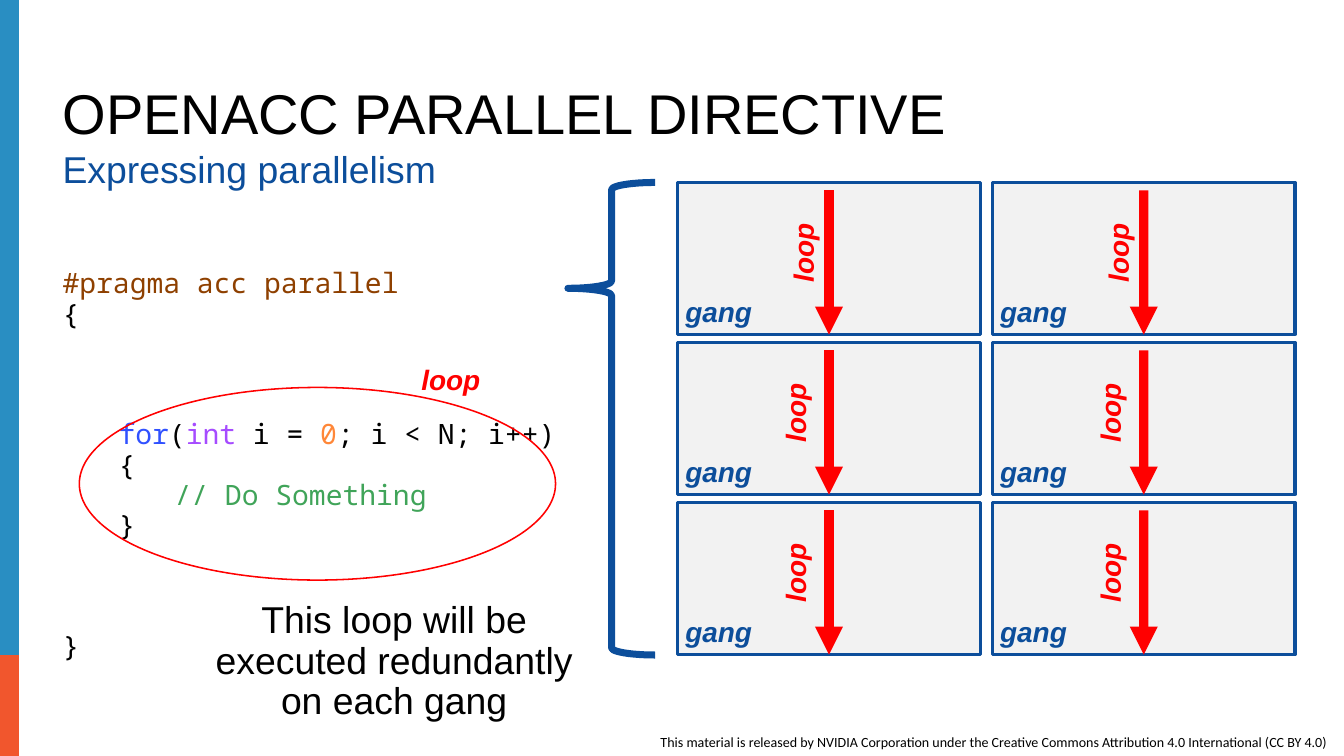
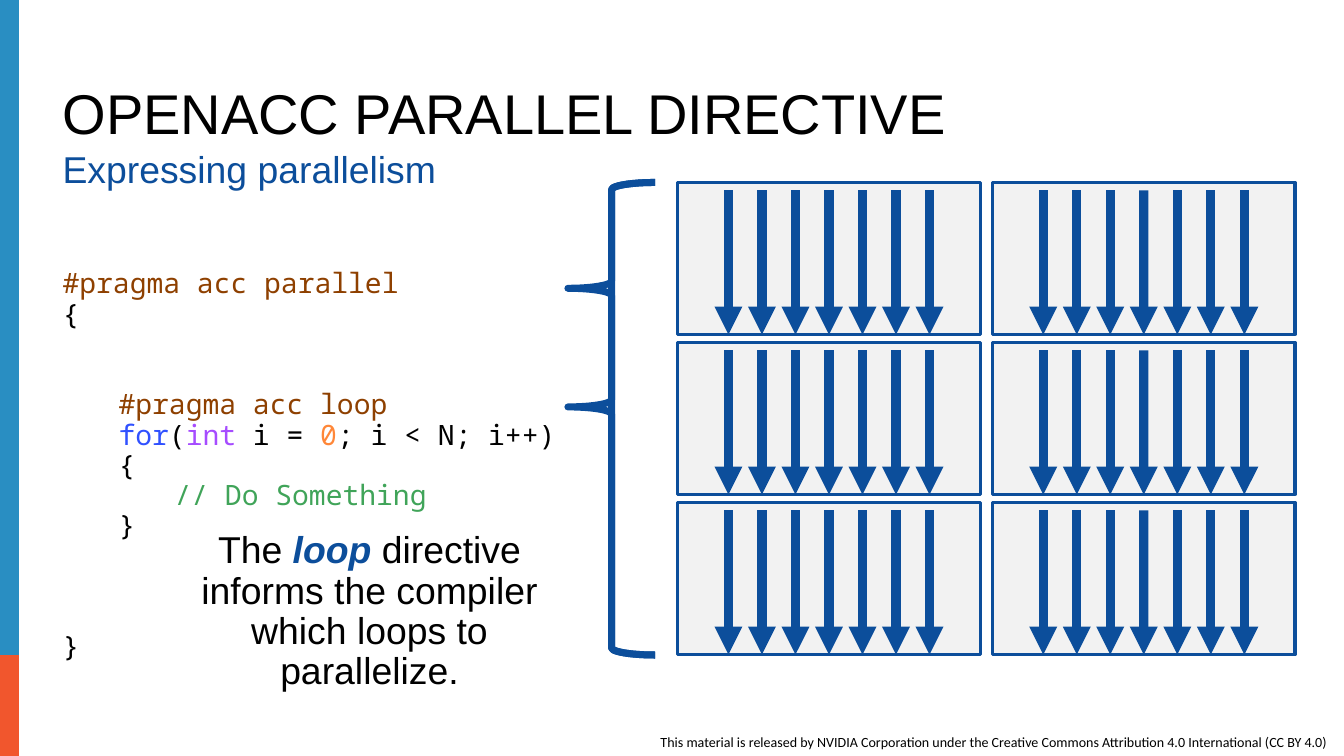
from itertools import product

from lxml.etree import SubElement
from pptx import Presentation
from pptx.dml.color import RGBColor
from pptx.enum.shapes import MSO_CONNECTOR, MSO_SHAPE
from pptx.enum.text import MSO_ANCHOR, PP_ALIGN
from pptx.oxml.ns import qn
from pptx.util import Cm, Pt

HUES = {
    "black": "000000", "blue": "0C4E9B", "red": "FF0000", "grey": "F2F2F2",
    "sky": "298EC2", "rust": "F1562D", "brown": "8E4000", "key": "3051FF",
    "type": "A64CFF", "digit": "FF8738", "note": "40A459",
}

# Content
TITLE = "OPENACC PARALLEL DIRECTIVE"
TOPIC = "Expressing parallelism"
FOOTER = ("This material is released by NVIDIA Corporation under the Creative "
          "Commons Attribution 4.0 International (CC BY 4.0)")

# Code lines: indent level, empty lines above, runs of (text, colour)
HEAD = [
    (0, 0, [("#pragma acc parallel", "brown")]),
    (0, 0, [("{", "black")]),
]
LOOP = [("for", "key"), ("(", "black"), ("int ", "type"), ("i = ", "black"),
        ("0", "digit"), ("; i < N; i++)", "black")]
BODY = [
    (1, 0, [("{", "black")]),
    (2, 0, [("// Do Something", "note")]),
    (1, 0, [("}", "black")]),
    (0, 3, [("}", "black")]),
]
PLAIN = HEAD + [(1, 3, LOOP)] + BODY
SHARED = HEAD + [(1, 2, [("#pragma acc loop", "brown")]), (1, 0, LOOP)] + BODY

SLIDES = [
    {"code": PLAIN, "tips": [0.224], "arrows": 1, "hue": "red", "tags": True,
     "box": (4.09, 13.51, 9.7, 3.02),
     "note": [("This loop will be executed redundantly on each gang", "black")]},
    {"code": SHARED, "tips": [0.224, 0.475], "arrows": 7, "hue": "blue",
     "tags": False, "box": (3.73, 11.91, 9.3, 3.96),
     "note": [("The ", "black"), ("loop", "blue"),
              (" directive informs the compiler which loops to parallelize.",
               "black")]},
]

# Grid of gangs, in cm
LEFT, TOP, WIDE, HIGH = 15.37, 4.14, 6.86, 3.45
STEP_X, STEP_Y = 7.14, 3.63
ROWS, COLS = 3, 2
ARROW_GAP, ARROW_DROP = 0.76, 0.18
LOOP_X = [1.96, 1.78, 1.78]  # offset of the loop tag in each row
LINE = 19.4  # height of a code line, in points
INDENT = 1.27


def rgb(hue):
    return RGBColor.from_string(HUES[hue])


def add_shape(slide, kind, box, fill=None, line=None, width=1):
    shape = slide.shapes.add_shape(kind, *map(Cm, box))
    shape.shadow.inherit = False
    if fill:
        shape.fill.solid()
        shape.fill.fore_color.rgb = rgb(fill)
    else:
        shape.fill.background()
    if line:
        shape.line.color.rgb = rgb(line)
        shape.line.width = Pt(width)
    else:
        shape.line.fill.background()
    return shape


def add_box(slide, box, anchor=MSO_ANCHOR.MIDDLE, wrap=True):
    shape = slide.shapes.add_textbox(*map(Cm, box))
    shape.text_frame.word_wrap = wrap
    shape.text_frame.vertical_anchor = anchor
    return shape


def write(para, runs, size, face="Arial", space=0.9):
    """Fill a paragraph; runs in another colour than the first get their own."""
    para.line_spacing = space
    para.font.name, para.font.size = face, Pt(size)
    first = runs[0][1]
    para.font.color.rgb = rgb(first)
    for text, hue in runs:
        run = para.add_run()
        run.text = text
        if hue != first:
            run.font.color.rgb = rgb(hue)
    return para


def add_text(slide, box, text, size, hue="black", anchor=MSO_ANCHOR.MIDDLE,
             face="Arial", space=0.9):
    frame = add_box(slide, box, anchor).text_frame
    write(frame.paragraphs[0], [(text, hue)], size, face, space)


def add_tag(slide, left, top, wide, text, hue, turn=0):
    shape = add_box(slide, (left, top, wide, 0.94), wrap=False)
    shape.rotation = turn
    para = write(shape.text_frame.paragraphs[0], [(text, hue)], 18)
    para.alignment = PP_ALIGN.CENTER
    para.font.bold = para.font.italic = True


def add_arrow(slide, x, top, end, hue):
    arrow = slide.shapes.add_connector(
        MSO_CONNECTOR.STRAIGHT, Cm(x), Cm(top), Cm(x), Cm(end))
    arrow.line.color.rgb = rgb(hue)
    arrow.line.width = Pt(6)
    SubElement(arrow.line._get_or_add_ln(), qn("a:tailEnd"), type="triangle")
    SubElement(arrow._element.spPr, qn("a:effectLst"))
    return arrow


def add_frame(slide):
    """Side band, footer, title and topic."""
    add_text(slide, (14.73, 16.51, 17.17, 0.64), FOOTER, 9,
             anchor=MSO_ANCHOR.TOP, face="Calibri", space=1.0)
    add_shape(slide, MSO_SHAPE.RECTANGLE, (-0.08, 12.88, 0.51, 4.27), "rust")
    add_shape(slide, MSO_SHAPE.RECTANGLE, (-0.08, 0, 0.51, 14.86), "sky")
    add_text(slide, (1.17, 1.8, 27.71, 1.65), TITLE, 36,
             anchor=MSO_ANCHOR.BOTTOM)
    add_text(slide, (1.17, 3.3, 27.71, 1.45), TOPIC, 24, "blue",
             MSO_ANCHOR.TOP)


def add_code(slide, lines):
    frame = add_box(slide, (1.17, 5.94, 12.04, 9.27)).text_frame
    for i, (level, gap, runs) in enumerate(lines):
        para = frame.add_paragraph() if i else frame.paragraphs[0]
        if level:
            para._p.get_or_add_pPr().set("marL", str(Cm(INDENT * level)))
        if gap:
            para.space_before = Pt(gap * LINE)
        write(para, runs, 18, "Noto Sans Mono")


def add_gangs(slide, count, hue):
    for row, col in product(range(ROWS), range(COLS)):
        x, y = LEFT + col * STEP_X, TOP + row * STEP_Y
        gang = add_shape(slide, MSO_SHAPE.RECTANGLE, (x, y, WIDE, HIGH),
                         "grey", "blue", 2)
        for i in range(count):
            shift = i - count // 2
            arrow = add_arrow(slide, x + WIDE / 2 + shift * ARROW_GAP,
                              y + ARROW_DROP, y + HIGH, hue)
            if shift == 0:
                arrow.end_connect(gang, 2)


def add_tags(slide):
    """Ring round the loop, and the names of loops and gangs."""
    add_shape(slide, MSO_SHAPE.OVAL, (1.8, 8.79, 10.8, 4.37), line="red")
    add_tag(slide, 9.3, 8.18, 1.85, "loop", "red")
    for row, col in product(range(ROWS), range(COLS)):
        x, y = LEFT + col * STEP_X, TOP + row * STEP_Y
        add_tag(slide, x - 0.1, y + 2.51, 2.06, "gang", "blue")
        add_tag(slide, x + LOOP_X[row], y + 1.12, 1.85, "loop", "red", 270)


def add_note(slide, box, runs):
    para = add_box(slide, box).text_frame.paragraphs[0]
    write(para, runs, 24).alignment = PP_ALIGN.CENTER
    for run, (_, hue) in zip(para.runs, runs):
        if hue == "blue":
            run.font.bold = run.font.italic = True


def main():
    deck = Presentation()
    deck.slide_width, deck.slide_height = Cm(30.48), Cm(17.15)
    for page in SLIDES:
        slide = deck.slides.add_slide(deck.slide_layouts[6])
        add_frame(slide)
        add_code(slide, page["code"])
        add_gangs(slide, page["arrows"], page["hue"])
        for tip in page["tips"]:
            brace = add_shape(slide, MSO_SHAPE.LEFT_BRACE,
                              (12.88, TOP, 1.98, 10.72), line="blue", width=4.5)
            brace.adjustments[0], brace.adjustments[1] = 0.083, tip
        if page["tags"]:
            add_tags(slide)
        add_note(slide, page["box"], page["note"])
    deck.save("out.pptx")


if __name__ == "__main__":
    main()
